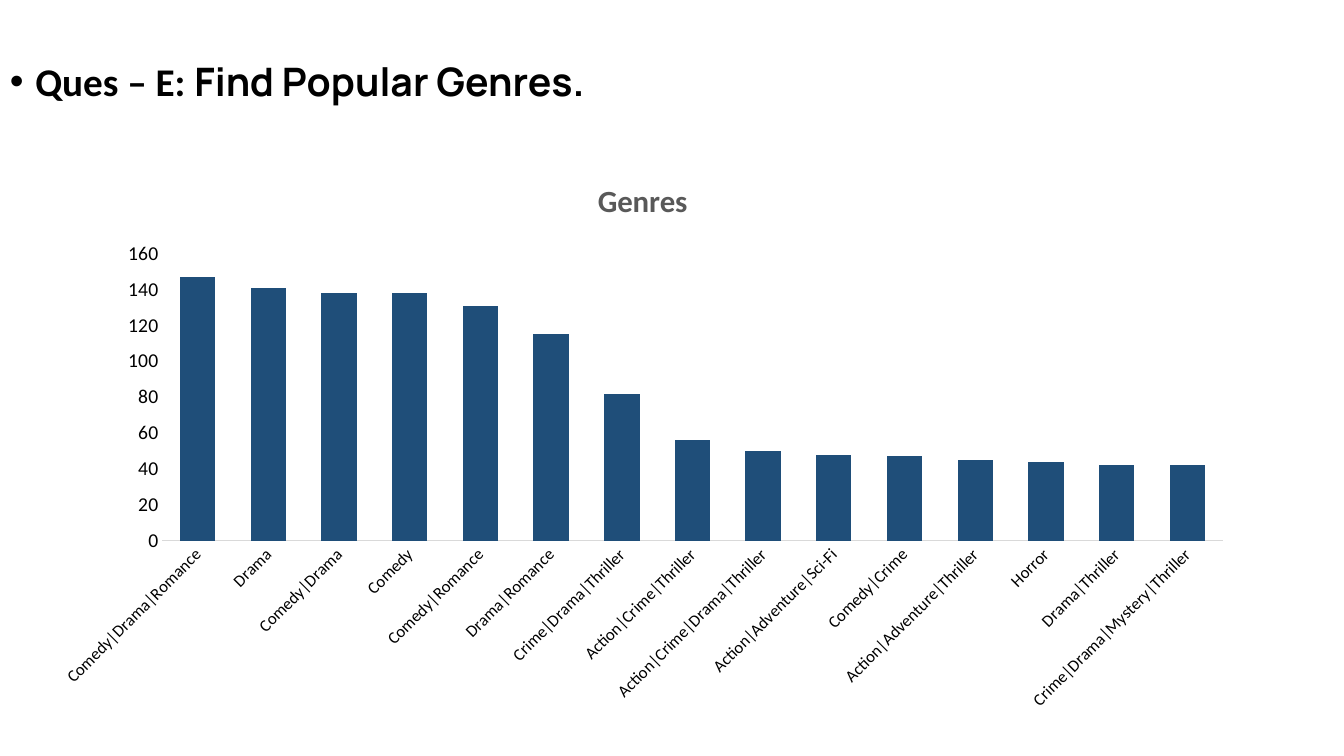
from pptx import Presentation, util as u
from pptx.chart import data as cd
from pptx.dml.color import RGBColor
from pptx.enum import chart as ch, text as tx
from pptx.oxml import parse_xml
from pptx.oxml.ns import nsdecls

FACE = "Calibri"
GENRES = {
    "Comedy|Drama|Romance": 147,
    "Drama": 141,
    "Comedy|Drama": 138,
    "Comedy": 138,
    "Comedy|Romance": 131,
    "Drama|Romance": 115,
    "Crime|Drama|Thriller": 82,
    "Action|Crime|Thriller": 56,
    "Action|Crime|Drama|Thriller": 50,
    "Action|Adventure|Sci-Fi": 48,
    "Comedy|Crime": 47,
    "Action|Adventure|Thriller": 45,
    "Horror": 44,
    "Drama|Thriller": 42,
    "Crime|Drama|Mystery|Thriller": 42,
}


def put(obj, vals):
    for key, val in vals.items():
        setattr(obj, key, val)


def style(font, size, tone="000000", bold=False, face=FACE):
    put(font, {"size": u.Pt(size), "bold": bold, "name": face})
    font.color.rgb = RGBColor.from_string(tone)


def add_bullet(slide, box, parts, size):
    """Add one bold bullet line made of (words, font name) parts."""
    frame = slide.shapes.add_textbox(*map(u.Cm, box)).text_frame
    put(frame, {"word_wrap": True, "vertical_anchor": tx.MSO_ANCHOR.TOP})
    para = frame.paragraphs[0]
    para.line_spacing = 0.9
    props = para._p.get_or_add_pPr()
    props.set("marL", str(u.Cm(0.64)))
    props.set("indent", str(u.Cm(-0.64)))
    props.append(parse_xml(f'<a:buFont {nsdecls("a")} typeface="Arial"/>'))
    props.append(parse_xml(f'<a:buChar {nsdecls("a")} char="•"/>'))
    for words, face in parts:
        run = para.add_run()
        run.text = words
        style(run.font, size, bold=True, face=face)


def set_axis(axis, size, vals):
    put(axis, {"major_tick_mark": ch.XL_TICK_MARK.NONE,
               "minor_tick_mark": ch.XL_TICK_MARK.NONE,
               "has_major_gridlines": False, **vals})
    style(axis.tick_labels.font, size)


def add_bars(slide, box, title, counts):
    data = cd.CategoryChartData()
    data.categories = list(counts)
    data.add_series("Series 1", list(counts.values()))
    chart = slide.shapes.add_chart(
        ch.XL_CHART_TYPE.COLUMN_CLUSTERED, *map(u.Cm, box), data).chart
    put(chart, {"has_legend": False, "has_title": True})
    style(chart.font, 10)

    head = chart.chart_title
    head.include_in_layout = False
    head.text_frame.text = title
    style(head.text_frame.paragraphs[0].runs[0].font, 22, "595959", True)

    plot = chart.plots[0]
    put(plot, {"gap_width": 100, "overlap": -24, "vary_by_categories": False})
    fill = plot.series[0].format.fill
    fill.solid()
    fill.fore_color.rgb = RGBColor.from_string("1F4E79")

    cat, val = chart.category_axis, chart.value_axis
    set_axis(cat, 12, {})
    cat.format.line.width = u.Pt(1)
    cat.format.line.color.rgb = RGBColor.from_string("D9D9D9")
    cat._element.txPr.bodyPr.set("rot", str(-45 * 60000))
    set_axis(val, 14, {"minimum_scale": 0, "maximum_scale": 160,
                       "major_unit": 20})
    val.format.line.fill.background()


def main():
    deck = Presentation()
    put(deck, {"slide_width": u.Cm(33.87), "slide_height": u.Cm(19.05)})
    slide = deck.slides.add_slide(deck.slide_layouts[6])
    add_bullet(slide, (0, 1.45, 33.87, 1.5),
               [("Ques – E: ", FACE), ("Find Popular Genres.", "Manrope")], 28)
    add_bars(slide, (0.97, 3.96, 30.45, 14.22), "Genres", GENRES)
    deck.save("out.pptx")


if __name__ == "__main__":
    main()
